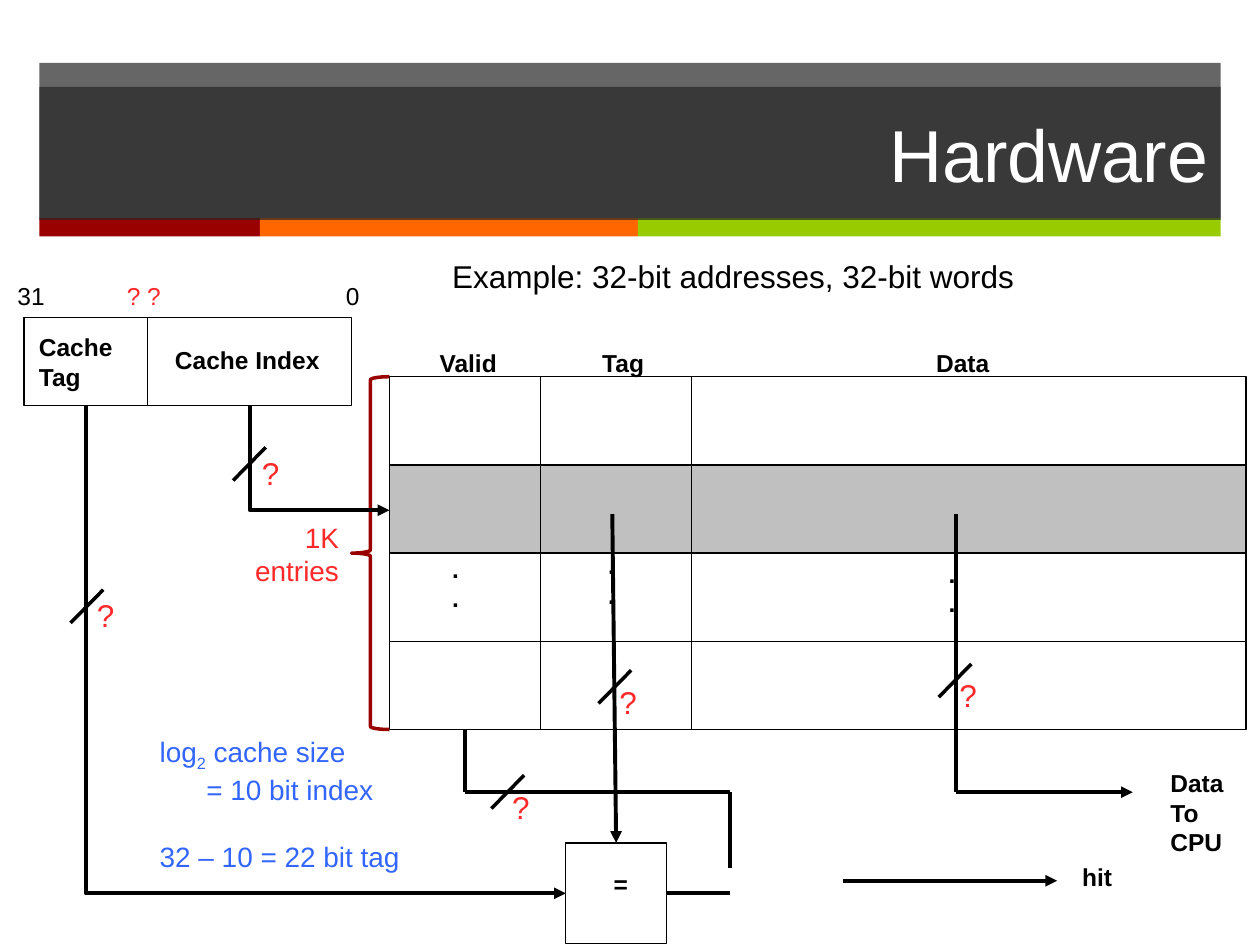
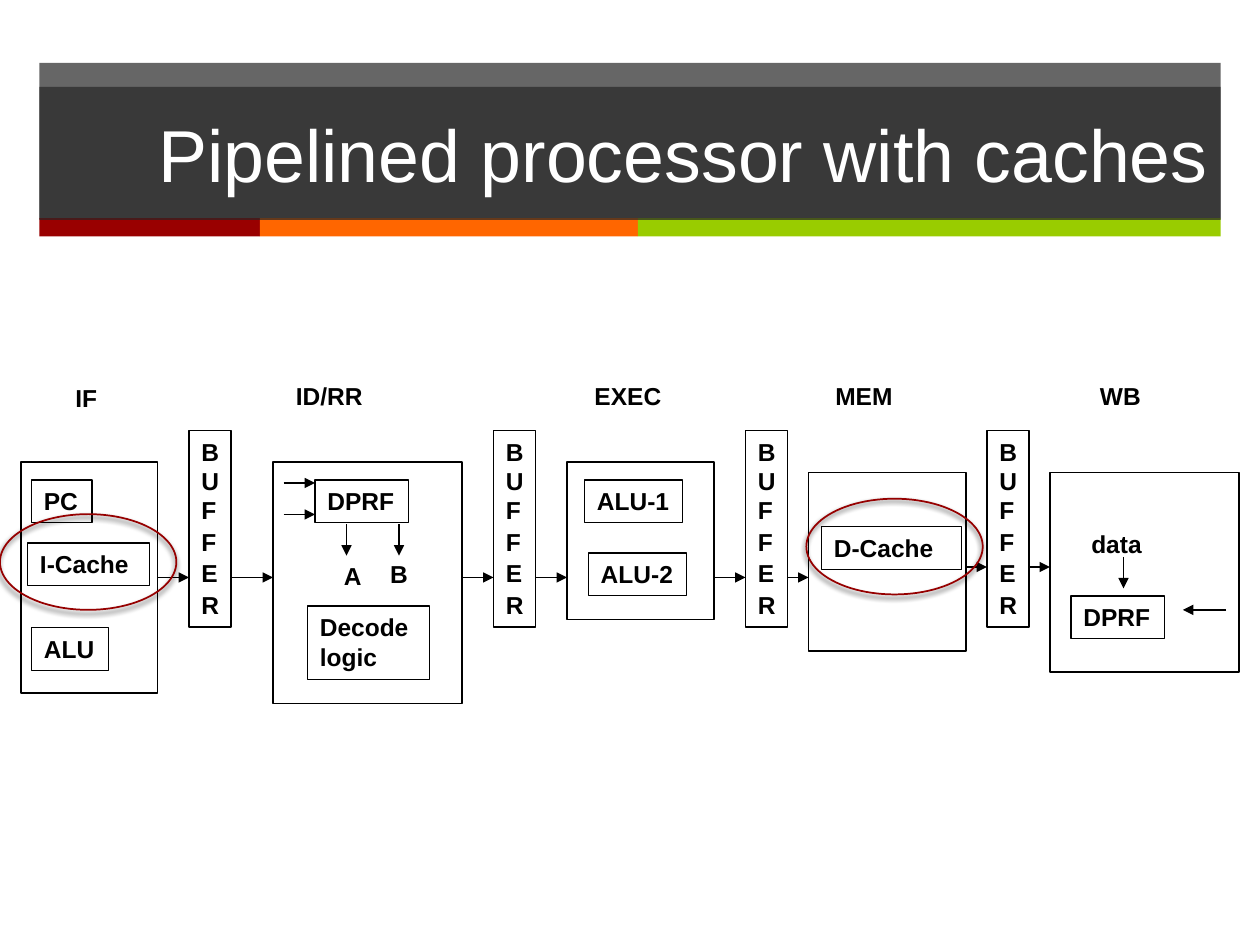
from collections import namedtuple
from itertools import accumulate, pairwise

from lxml.etree import SubElement
from pptx import Presentation
from pptx.dml.color import RGBColor
from pptx.enum.shapes import MSO_CONNECTOR as Connector, MSO_SHAPE as Shape
from pptx.enum.text import MSO_ANCHOR as Anchor, MSO_AUTO_SIZE as AutoSize, PP_ALIGN as Align
from pptx.oxml.ns import qn
from pptx.util import Pt

COLORS = {
    "black": "000000", "white": "FFFFFF", "band": "262626", "gray": "C0C0C0",
    "dark red": "990000", "orange": "FF6600", "green": "99CC00",
    "question": "FF2929", "answer": "3366FF", "highlight": "960000",
}
FONT = "Arial"
THIN, WIRE, SLASH = 0.75, 2.25, 2
TITLE_ONLY = 5


class Box(namedtuple("Box", "left top width height")):
    @property
    def right(self):
        return self.left + self.width

    @property
    def bottom(self):
        return self.top + self.height

    def inner(self, x, y, width, height):
        """Return a box placed relative to this one."""
        return Box(self.left + x, self.top + y, width, height)


def rgb(name):
    return RGBColor.from_string(COLORS[name])


def set_fill(shape, color, alpha=None):
    shape.fill.solid()
    shape.fill.fore_color.rgb = rgb(color)
    if alpha:
        node = shape.fill._xPr.find(qn("a:solidFill"))[0]
        SubElement(node, qn("a:alpha"), val=str(alpha * 1000))


def add_shape(slide, box, kind=Shape.RECTANGLE, fill=None, line="black", width=THIN, alpha=None):
    shape = slide.shapes.add_shape(kind, *map(Pt, box))
    shape.shadow.inherit = False
    if fill:
        set_fill(shape, fill, alpha)
    else:
        shape.fill.background()
    if line:
        shape.line.color.rgb = rgb(line)
        shape.line.width = Pt(width)
    else:
        shape.line.fill.background()
    return shape


def add_text(slide, box, text, size=14, bold=True, color="black",
             align=Align.LEFT, wrap=False, outlined=False):
    if outlined:
        shape = add_shape(slide, box)
    else:
        shape = slide.shapes.add_textbox(*map(Pt, box))
    frame = shape.text_frame
    frame.text = text
    frame.word_wrap = wrap
    frame.auto_size = AutoSize.SHAPE_TO_FIT_TEXT
    frame.vertical_anchor = Anchor.TOP
    for paragraph in frame.paragraphs:
        paragraph.alignment = align
        font = paragraph.font
        font.name, font.size, font.bold = FONT, Pt(size), bold
        font.color.rgb = rgb(color)
    return frame


def add_line(slide, start, end, width=THIN, arrow=False, kind=Connector.STRAIGHT):
    connector = slide.shapes.add_connector(kind, *map(Pt, (*start, *end)))
    connector.line.color.rgb = rgb("black")
    connector.line.width = Pt(width)
    if arrow:
        SubElement(connector.line._get_or_add_ln(), qn("a:tailEnd"), type="triangle")
    SubElement(connector._element.spPr, qn("a:effectLst"))
    return connector


def add_path(slide, points, arrow=False):
    """Draw a wire through the points, with an optional arrowhead at its end."""
    for start, end in pairwise(points):
        add_line(slide, start, end, WIRE, arrow and end == points[-1])


def add_down_right_arrow(slide, start, end):
    """Draw a one-bend connector; its frame is turned by 270 degrees and flipped."""
    center_x, center_y = (start[0] + end[0]) / 2, (start[1] + end[1]) / 2
    half_width, half_height = (end[1] - start[1]) / 2, (end[0] - start[0]) / 2
    connector = add_line(slide, (center_x - half_width, center_y - half_height),
                         (center_x + half_width, center_y + half_height),
                         WIRE, True, Connector.ELBOW)
    properties = connector._element.spPr
    properties.find(qn("a:prstGeom")).set("prst", "bentConnector2")
    frame = properties.find(qn("a:xfrm"))
    frame.set("rot", "16200000")
    frame.set("flipH", "1")


def add_titled_slide(presentation, title):
    slide = presentation.slides.add_slide(presentation.slide_layouts[TITLE_ONLY])
    band = Box(22.5, 36, 675, 89)
    add_shape(slide, band, fill="band", line=None, alpha=70)
    left = band.left
    for color, width in (("dark red", 126), ("orange", 216), ("green", 333)):
        add_shape(slide, Box(left, band.bottom - 0.3, width, 10.5), fill=color, line=None)
        left += width

    holder = slide.shapes.title
    slide.shapes._spTree.append(holder._element)  # in front of the band
    holder.left, holder.top, holder.width, holder.height = map(Pt, band.inner(0, 13.7, 675, 76))
    set_fill(holder, "band", 70)
    frame = holder.text_frame
    frame.text = title
    frame.auto_size = AutoSize.NONE
    frame.vertical_anchor = Anchor.MIDDLE
    paragraph = frame.paragraphs[0]
    paragraph.alignment = Align.RIGHT
    paragraph.font.name, paragraph.font.size = FONT, Pt(42)
    paragraph.font.color.rgb = rgb("white")
    return slide


def draw_address(slide, box, tag_width):
    for x, width in ((0, tag_width), (tag_width, box.width - tag_width)):
        add_shape(slide, box.inner(x, 0, width, box.height))
    add_text(slide, box.inner(1.4, 5, 84, 41), "Cache\nTag", wrap=True)
    add_text(slide, box.inner(79.2, 12.3, 101, 24), "Cache Index", wrap=True)
    for x, width, text, color in ((-10.8, 32, "31", "black"), (51.7, 36, "? ?", "question"),
                                  (176.8, 24, "0", "black")):
        add_text(slide, box.inner(x, -24.5, width, 24), text, bold=False, color=color)


def draw_cache_table(slide, box, column_widths, rows=4, selected_row=1):
    for x, width, label in ((21.6, 55, "Valid"), (114.5, 51, "Tag"), (305.3, 48, "Data")):
        add_text(slide, box.inner(x, -19.8, width, 24), label)
    height = box.height / rows
    offsets = accumulate(column_widths[:-1], initial=0)
    columns = list(zip(offsets, column_widths))
    for row in range(rows):
        fill = "gray" if row == selected_row else None
        for x, width in columns:
            add_shape(slide, box.inner(x, row * height, width, height), fill=fill)
    for x, y in ((28.8, 97.7), (118, 95.6), (312.5, 100.6)):
        add_text(slide, box.inner(x, y, 18.7, 41), ".\n.")

    add_shape(slide, Box(box.left - 21.6, box.top, 21.6, box.height),
              Shape.LEFT_BRACE, line="dark red", width=2)
    add_text(slide, box.inner(-90.7, 78.5, 69, 46), "1K entries", 16, False, "question",
             Align.RIGHT, wrap=True)


def draw_wires(slide, address, table, comparator):
    middle = comparator.top + comparator.height / 2
    center = comparator.left + comparator.width / 2
    add_shape(slide, comparator)
    add_text(slide, comparator.inner(20.2, 11.5, 24, 24), "=")

    add_down_right_arrow(slide, (address.left + 129, address.bottom),
                         (table.left, table.top + 76.3))
    add_down_right_arrow(slide, (address.left + 35.3, address.bottom),
                         (comparator.left, middle))

    read_y, turn_y = table.top + 78.5, table.bottom + 35.8
    valid_x, data_x, gate_x = table.left + 43.2, table.left + 324, comparator.right + 36
    add_path(slide, [(center - 2.2, read_y), (center, comparator.top)], arrow=True)
    add_path(slide, [(comparator.right, middle), (gate_x, middle)])
    add_path(slide, [(valid_x, table.bottom), (valid_x, turn_y),
                     (gate_x, turn_y), (gate_x, turn_y + 43.2)])
    add_path(slide, [(data_x, read_y), (data_x, turn_y), (data_x + 100.8, turn_y)], arrow=True)
    hit_y = middle - 7.2
    add_path(slide, [(gate_x + 64.8, hit_y), (gate_x + 187.2, hit_y)], arrow=True)
    add_text(slide, Box(gate_x + 194.4, hit_y - 14.4, 34, 24), "hit")
    add_text(slide, Box(data_x + 115.2, turn_y - 17.3, 48, 57.6), "Data\nTo\nCPU")


def draw_width_question(slide, left, top, label_x=4.8, label_y=3.6):
    """Mark a wire with a slash and a question about its width."""
    add_line(slide, (left + 18.7, top), (left, top + 19), SLASH)
    add_text(slide, Box(left + label_x, top + label_y, 26, 29), "?", 18, False, "question")


def draw_size_answer(slide, box):
    frame = add_text(slide, box, "log\n= 10 bit index\n32 – 10 = 22 bit tag",
                     16, False, "answer", wrap=True)
    formula, index_size, tag_size = frame.paragraphs
    subscript = formula.add_run()
    subscript.text = "2"
    subscript.font._element.set("baseline", "-25000")
    formula.add_run().text = " cache size"
    index_size._p.get_or_add_pPr().set("marL", str(Pt(26.7)))
    tag_size.space_before = Pt(18.8)


def build_hardware_slide(presentation):
    slide = add_titled_slide(presentation, "Hardware")
    address = Box(13.7, 181.4, 187.2, 50.4)
    table = Box(222.5, 215.3, 489.6, 201.6)
    draw_address(slide, address, 70.6)
    draw_cache_table(slide, table, (86.4, 86.4, 316.8))
    draw_wires(slide, address, table, Box(323.3, 481.7, 57.6, 57.6))
    draw_width_question(slide, 40.3, 337, 8, 0)
    draw_width_question(slide, 133.2, 255.6, 9.4, 0)
    for left, top in ((280.8, 443), (342, 383), (536.4, 379.4)):
        draw_width_question(slide, left, top)
    draw_size_answer(slide, Box(84.2, 416.2, 156.2, 85))
    add_text(slide, Box(251.3, 143.3, 360, 29), "Example: 32-bit addresses, 32-bit words",
             18, False, wrap=True)


Stage = namedtuple("Stage", "name label_x label_width box units output_y")
# Units are (text, x, y, width, height) relative to the stage box.
STAGES = [
    Stage("IF", 24, 36, Box(12, 264, 78, 132),
          [("PC", 6, 10.3, 34.6, 24.5), ("I-Cache", 3.8, 46.3, 69.8, 24.5),
           ("ALU", 6, 94.6, 43.9, 24.5)], 330),
    Stage("ID/RR", 6, 60, Box(156, 264, 108, 138),
          [("DPRF", 24, 10.3, 53.3, 24.5), ("Decode\nlogic", 19.7, 82.3, 69.8, 41.8)], 330),
    Stage("EXEC", 8.6, 60, Box(324, 264, 84, 90),
          [("ALU-1", 10, 10.3, 56.2, 24.5), ("ALU-2", 12.2, 52, 56.2, 24.5)], 330),
    Stage("MEM", 8.2, 60, Box(462, 270, 90, 102),
          [("D-Cache", 7.4, 31, 79.9, 24.5)], 324),
    Stage("WB", 21.4, 48, Box(600, 270, 108, 114),
          [("DPRF", 12, 70.6, 53.3, 24.5)], None),
]


def draw_stage(slide, stage):
    box = stage.box
    label_top = 215.3 if stage is STAGES[0] else 214.2
    add_text(slide, Box(box.left + stage.label_x, label_top, stage.label_width, 24), stage.name)
    for text, *place in stage.units:
        add_text(slide, box.inner(*place), text, outlined=True)
    add_shape(slide, box)


def draw_buffer(slide, box):
    frame = add_text(slide, box, "BUF\nF\nE\nR", wrap=True, outlined=True)
    for paragraph in frame.paragraphs:
        paragraph.space_before = Pt(1.2)


def draw_register_reads(slide, box):
    for y in (12, 30):
        add_line(slide, (box.left + 6, box.top + y), (box.left + 24, box.top + y), arrow=True)
    for x, label, label_x, label_y in ((42, "A", 33.4, 52.8), (72, "B", 59.8, 51.8)):
        add_line(slide, (box.left + x, box.top + 35.5), (box.left + x, box.top + 53.5), arrow=True)
        add_text(slide, box.inner(label_x, label_y, 26, 24), label)


def draw_register_write(slide, box):
    add_text(slide, box.inner(16.5, 29, 48, 24), "data")
    add_line(slide, (box.left + 42, box.top + 48.2), (box.left + 42, box.top + 66.2), arrow=True)
    add_line(slide, (box.left + 100.6, box.top + 78.5), (box.left + 76, box.top + 78.5), arrow=True)


def draw_highlight(slide, box):
    ellipse = add_shape(slide, box, Shape.OVAL, line="highlight", width=1)
    effects = ellipse._element.spPr.find(qn("a:effectLst"))
    shadow = SubElement(effects, qn("a:outerShdw"), blurRad=str(Pt(3)), dist=str(Pt(2)),
                        dir=str(110 * 60000), rotWithShape="0")
    color = SubElement(shadow, qn("a:srgbClr"), val=COLORS["black"])
    SubElement(color, qn("a:alpha"), val="75000")


def build_pipeline_slide(presentation):
    slide = add_titled_slide(presentation, "Pipelined processor with caches")
    for stage in STAGES:
        draw_stage(slide, stage)
    draw_register_reads(slide, STAGES[1].box)
    draw_register_write(slide, STAGES[-1].box)
    for (stage, following), left in zip(pairwise(STAGES), (108, 282, 426, 564)):
        buffer = Box(left, 246, 24, 112.3)
        draw_buffer(slide, buffer)
        y = stage.output_y
        add_line(slide, (stage.box.right, y), (buffer.left, y), arrow=True)
        add_line(slide, (buffer.right, y), (following.box.left, y), arrow=True)
    for left, top in ((0, 293.8), (460.8, 285)):
        draw_highlight(slide, Box(left, top, 100.8, 54.7))


def main():
    presentation = Presentation()
    presentation.slide_width, presentation.slide_height = Pt(720), Pt(540)
    build_hardware_slide(presentation)
    build_pipeline_slide(presentation)
    presentation.save("out.pptx")


if __name__ == "__main__":
    main()
